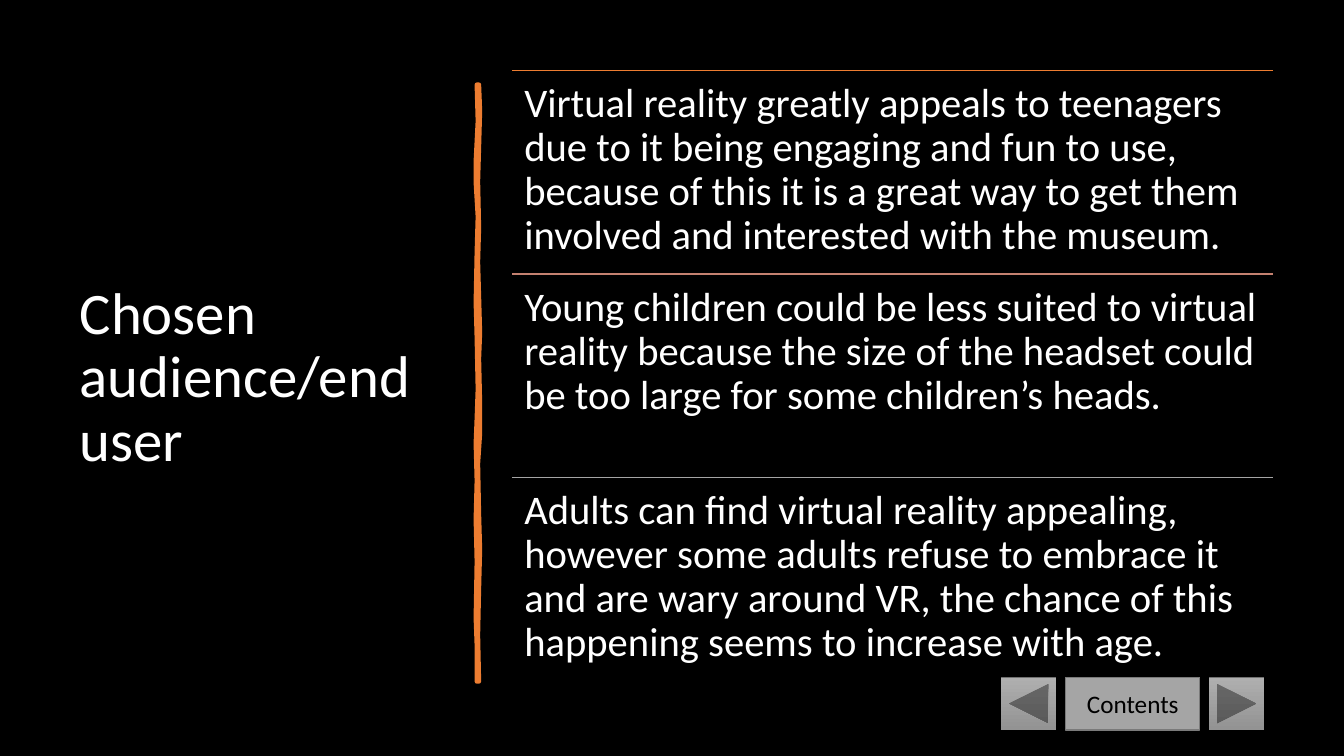
from lxml.etree import SubElement
from pptx import Presentation
from pptx.dml.color import RGBColor
from pptx.enum.shapes import MSO_CONNECTOR as CONNECTOR, MSO_SHAPE as SHAPE
from pptx.enum.text import MSO_ANCHOR as ANCHOR, MSO_AUTO_SIZE as AUTO_SIZE, PP_ALIGN as ALIGN
from pptx.oxml.ns import qn
from pptx.util import Emu, Pt

PX = 9144
FONT = "Calibri"
COLORS = {
    "background": "000000", "text": "FFFFFF", "button_text": "000000",
    "orange": "ED7D31", "blend": "C48170", "gray": "A5A5A5",
    "light": "AFAFAF", "dark": "939393", "border": "7A7A7A", "shadow": "000000",
}
ROWS = [
    ("orange", "Virtual reality greatly appeals to teenagers due to it being engaging and fun to use, "
     "because of this it is a great way to get them involved and interested with the museum."),
    ("blend", "Young children could be less suited to virtual reality because the size of the headset "
     "could be too large for some children’s heads."),
    ("gray", "Adults can find virtual reality appealing, however some adults refuse to embrace it and "
     "are wary around VR, the chance of this happening seems to increase with age."),
]
ROW_LEFT, ROW_TOP, ROW_WIDTH, ROW_HEIGHT = 508, 70, 755, 202
BUTTON_TOP, BUTTON_HEIGHT = 672, 52
BRUSH_RIGHT = [(475, 84), (476, 110), (475, 146), (474, 180), (475, 226), (474, 260),
               (475, 294), (476, 330), (475, 356), (476, 400), (476, 430), (474, 460),
               (475, 510), (476, 545), (475, 584), (474, 630), (475, 676)]
BRUSH_LEFT = [(473, 676), (473, 640), (472, 613), (473, 557), (472, 515), (473, 477),
              (472, 440), (473, 415), (474, 386), (473, 335), (472, 300), (473, 250),
              (474, 215), (472, 181), (472, 160), (474, 120), (473, 84)]


def color(name):
    return RGBColor.from_string(COLORS[name])


def box(*lengths):
    return [Emu(length * PX) for length in lengths]


def write(frame, text, *, size, ink="text", align=ALIGN.LEFT, anchor=ANCHOR.TOP,
          spacing=None, inset=10):
    frame.word_wrap = True
    frame.auto_size = AUTO_SIZE.NONE
    frame.vertical_anchor = anchor
    frame.margin_left = frame.margin_right = Emu(inset * PX)
    frame.margin_top = frame.margin_bottom = Emu(inset * PX)
    paragraph = frame.paragraphs[0]
    paragraph.alignment = align
    paragraph.line_spacing = spacing
    run = paragraph.add_run()
    run.text = text
    run.font.size = Pt(size)
    run.font.name = FONT
    run.font.color.rgb = color(ink)


def add_title(slide, text):
    title = slide.shapes.title
    title.left, title.top, title.width, title.height = box(69, 70, 374, 611)
    write(title.text_frame, text, size=42, anchor=ANCHOR.MIDDLE, spacing=0.9)


def add_brush_stroke(slide):
    start, *points = BRUSH_RIGHT + BRUSH_LEFT
    builder = slide.shapes.build_freeform(*start, scale=PX)
    builder.add_line_segments(points, close=True)
    shape = builder.convert_to_shape()
    shape.shadow.inherit = False
    shape.fill.solid()
    shape.fill.fore_color.rgb = color("orange")
    shape.line.color.rgb = color("orange")
    shape.line.width = Pt(3.25)


def add_rule(slide, top, ink):
    ends = box(ROW_LEFT, top, ROW_LEFT + ROW_WIDTH, top)
    rule = slide.shapes.add_connector(CONNECTOR.STRAIGHT, *ends)
    rule.line.color.rgb = color(ink)
    rule.line.width = Pt(1)
    SubElement(rule._element.spPr, qn("a:effectLst"))


def add_row(slide, top, ink, text):
    add_rule(slide, top, ink)
    area = slide.shapes.add_textbox(*box(ROW_LEFT, top, ROW_WIDTH, ROW_HEIGHT))
    write(area.text_frame, text, size=29, spacing=0.9, inset=12)


def add_button(slide, kind, left, width):
    button = slide.shapes.add_shape(kind, *box(left, BUTTON_TOP, width, BUTTON_HEIGHT))
    button.shadow.inherit = False
    return button


def add_arrow_button(slide, kind, left):
    button = add_button(slide, kind, left, 55)
    button.fill.gradient()
    button.fill.gradient_angle = 270
    for stop, position, name in zip(button.fill.gradient_stops, (0, 1), ("light", "dark")):
        stop.position = position
        stop.color.rgb = color(name)
    button.line.fill.background()
    effects = button._element.spPr.find(qn("a:effectLst"))
    shadow = SubElement(effects, qn("a:outerShdw"), blurRad=str(Pt(4.5)), dist=str(Pt(1.5)),
                        dir="5400000", algn="ctr", rotWithShape="0")
    shade = SubElement(shadow, qn("a:srgbClr"), val=COLORS["shadow"])
    SubElement(shade, qn("a:alpha"), val="63000")


def add_label_button(slide, text, left, width):
    button = add_button(slide, SHAPE.ACTION_BUTTON_CUSTOM, left, width)
    button.fill.solid()
    button.fill.fore_color.rgb = color("gray")
    button.line.color.rgb = color("border")
    button.line.width = Pt(1)
    write(button.text_frame, text, size=18, ink="button_text", align=ALIGN.CENTER,
          anchor=ANCHOR.MIDDLE, inset=5)


def main():
    presentation = Presentation()
    presentation.slide_width, presentation.slide_height = box(1333, 750)
    slide = presentation.slides.add_slide(presentation.slide_layouts[5])
    slide.background.fill.solid()
    slide.background.fill.fore_color.rgb = color("background")
    add_title(slide, "Chosen audience/end user")
    add_brush_stroke(slide)
    for index, (ink, text) in enumerate(ROWS):
        add_row(slide, ROW_TOP + index * ROW_HEIGHT, ink, text)
    add_arrow_button(slide, SHAPE.ACTION_BUTTON_BACK_OR_PREVIOUS, 993)
    add_arrow_button(slide, SHAPE.ACTION_BUTTON_FORWARD_OR_NEXT, 1199)
    add_label_button(slide, "Contents", 1057, 133)
    presentation.save("out.pptx")


if __name__ == "__main__":
    main()
